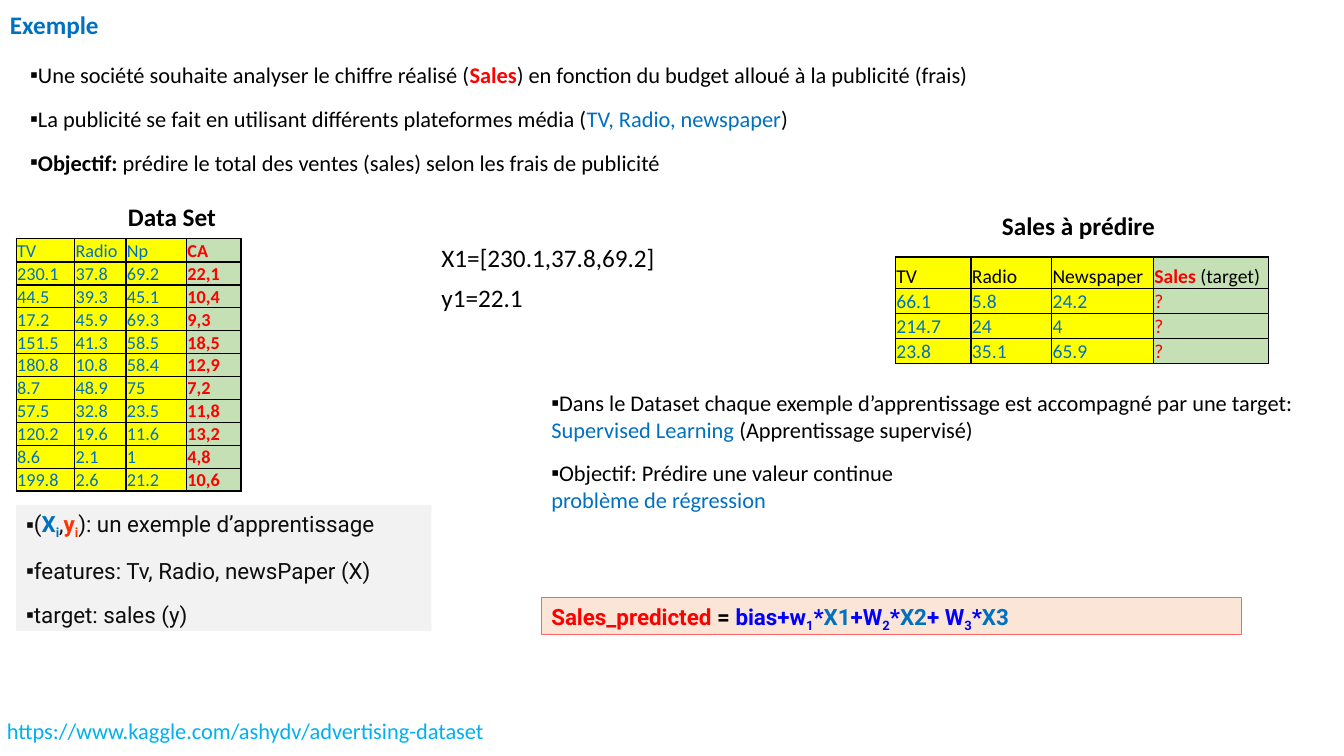
from dataclasses import dataclass

from lxml import etree
from pptx import Presentation
from pptx.dml.color import RGBColor
from pptx.enum.shapes import MSO_SHAPE
from pptx.enum.text import MSO_ANCHOR, MSO_AUTO_SIZE, PP_ALIGN
from pptx.oxml.ns import qn
from pptx.util import Emu, Pt

RECTANGLE = MSO_SHAPE.RECTANGLE
GROW = MSO_AUTO_SIZE.SHAPE_TO_FIT_TEXT
TOP, BOTTOM = MSO_ANCHOR.TOP, MSO_ANCHOR.BOTTOM
LEFT, CENTER, JUSTIFY = PP_ALIGN.LEFT, PP_ALIGN.CENTER, PP_ALIGN.JUSTIFY
EMU_PER_PX = 9144  # 100 px to the inch


@dataclass(frozen=True)
class Theme:
    font: str = "Calibri"
    alt_font: str = "Roboto"
    heading: int = 18
    body: int = 16
    sales_cell: int = 14
    data_cell: int = 13
    black: str = "000000"
    ink: str = "0D0D0D"
    blue: str = "0070C0"
    pure_blue: str = "0000FF"
    sky: str = "00B0F0"
    red: str = "FF0000"
    orange: str = "FF3300"
    yellow: str = "FFFF00"
    green: str = "C5E0B4"
    grey: str = "F2F2F2"
    peach: str = "FBE5D6"
    coral: str = "FF6565"


THEME = Theme()


@dataclass(frozen=True)
class Span:
    text: str
    color: str = THEME.black
    bold: bool = False
    sub: bool = False
    new_line: bool = False


def px(length):
    return Emu(round(length * EMU_PER_PX))


def rgb(color):
    return RGBColor.from_string(color)


class Page:
    def __init__(self, deck, theme):
        self.theme = theme
        self.shapes = deck.slides.add_slide(deck.slide_layouts[6]).shapes

    def add_spans(self, para, spans, size, font):
        for span in spans:
            if span.new_line:
                para.add_line_break()
            run = para.add_run()
            run.text = span.text
            run.font.name, run.font.size = font, Pt(size)
            run.font.bold = span.bold
            run.font.color.rgb = rgb(span.color)
            if span.sub:
                run.font._element.set("baseline", "-25000")

    def bullet(self, para, hang):
        """Square bullet hanging before a zero left margin."""
        properties = para._p.get_or_add_pPr()
        properties.set("marL", "0")
        properties.set("indent", str(-px(hang)))
        etree.SubElement(properties, qn("a:buFont")).set("typeface", "Arial")
        etree.SubElement(properties, qn("a:buChar")).set("char", "▪")

    def fill_frame(self, box, paragraphs, size, font, align=LEFT, hang=0, after=0, level=0):
        frame = box.text_frame
        frame.word_wrap, frame.auto_size = True, GROW
        frame.vertical_anchor = TOP
        for index, spans in enumerate(paragraphs):
            para = frame.add_paragraph() if index else frame.paragraphs[0]
            para.alignment, para.level = align, level
            para.space_after = Pt(after)
            if hang:
                self.bullet(para, hang)
            self.add_spans(para, spans, size, font)

    def text(self, area, paragraphs, size, **layout):
        box = self.shapes.add_textbox(*map(px, area))
        self.fill_frame(box, paragraphs, size, self.theme.font, **layout)

    def panel(self, area, fill, paragraphs, line=None, **layout):
        box = self.shapes.add_shape(RECTANGLE, *map(px, area))
        box.shadow.inherit = False
        box.fill.solid()
        box.fill.fore_color.rgb = rgb(fill)
        if line:
            box.line.color.rgb = rgb(line)
            box.line.width = Pt(0.75)
        else:
            box.line.fill.background()
        self.fill_frame(box, paragraphs, self.theme.body, self.theme.alt_font, **layout)

    def border(self, cell):
        properties = cell._tc.get_or_add_tcPr()
        for position, side in enumerate(("a:lnL", "a:lnR", "a:lnT", "a:lnB")):
            line = etree.Element(qn(side), w=str(Pt(1)))
            solid = etree.SubElement(line, qn("a:solidFill"))
            etree.SubElement(solid, qn("a:srgbClr")).set("val", self.theme.black)
            properties.insert(position, line)

    def table(self, area, widths, header_height, rows, size):
        """Grid of span lists whose last column, the target, is green."""
        grid = self.shapes.add_table(len(rows), len(widths), *map(px, area)).table
        grid.first_row = grid.horz_banding = False
        for column, width in zip(grid.columns, widths):
            column.width = px(width)
        grid.rows[0].height = px(header_height)
        for row in list(grid.rows)[1:]:
            row.height = px((area[3] - header_height) / (len(rows) - 1))
        for r, row in enumerate(rows):
            for c, spans in enumerate(row):
                cell = grid.cell(r, c)
                cell.margin_left = cell.margin_right = cell.margin_top = px(1)
                cell.margin_bottom = 0
                cell.vertical_anchor = BOTTOM
                cell.fill.solid()
                is_target = c == len(widths) - 1
                cell.fill.fore_color.rgb = rgb(self.theme.green if is_target else self.theme.yellow)
                self.border(cell)
                self.add_spans(cell.text_frame.paragraphs[0], spans, size, self.theme.font)


def data_row(line, color, target_bold):
    """Split a line of values into spans, the last one in red."""
    *features, target = line.split()
    return [[Span(value, color)] for value in features] + [[Span(target, THEME.red, target_bold)]]


DATA_SET = """TV Radio Np CA
230.1 37.8 69.2 22,1
44.5 39.3 45.1 10,4
17.2 45.9 69.3 9,3
151.5 41.3 58.5 18,5
180.8 10.8 58.4 12,9
8.7 48.9 75 7,2
57.5 32.8 23.5 11,8
120.2 19.6 11.6 13,2
8.6 2.1 1 4,8
199.8 2.6 21.2 10,6"""
TO_PREDICT = ["66.1 5.8 24.2 ?", "214.7 24 4 ?", "23.8 35.1 65.9 ?"]


def main():
    t = THEME
    deck = Presentation()
    deck.slide_width, deck.slide_height = px(1333), px(750)
    page = Page(deck, t)

    sales_header = data_row("TV Radio Newspaper Sales", t.black, True)
    sales_header[-1].append(Span(" (target)"))
    sales_rows = [sales_header] + [data_row(line, t.blue, False) for line in TO_PREDICT]
    page.table((888, 255, 370, 106), (75, 80, 101, 114), 31, sales_rows, t.sales_cell)

    page.text((20, 56, 1130, 125), [
        [Span("Une société souhaite analyser le chiffre réalisé ("), Span("Sales", t.red, True),
         Span(") en fonction du budget alloué à la publicité (frais)")],
        [Span("La publicité se fait en utilisant différents plateformes média ("),
         Span("TV, Radio, newspaper", t.blue), Span(")")],
        [Span("Objectif:", bold=True),
         Span(" prédire le total des ventes (sales) selon les frais de publicité")],
    ], t.body, hang=20, after=12)

    page.panel((16, 501, 412, 125), t.grey, [
        [Span("(", t.ink), Span("X", t.blue, True), Span("i", t.blue, True, sub=True),
         Span(",", t.ink), Span("y", t.orange, True), Span("i", t.orange, True, sub=True),
         Span("): un exemple d’apprentissage", t.ink)],
        [Span("features: Tv, Radio, newsPaper (X)", t.ink)],
        [Span("target: sales (y)", t.ink)],
    ], align=JUSTIFY, hang=16, after=12, level=1)

    page.text((0, 4, 346, 40), [[Span("Exemple", t.blue, True)]], t.heading)
    page.text((16, 195, 309, 40), [[Span("Data Set", bold=True)]], t.heading, align=CENTER)
    page.text((888, 204, 369, 40), [[Span("Sales à prédire ", bold=True)]], t.heading, align=CENTER)

    page.text((537, 381, 784, 135), [
        [Span("Dans le Dataset chaque exemple d’apprentissage est accompagné par une target: "),
         Span("Supervised Learning", t.blue), Span(" (Apprentissage supervisé)")],
        [Span("Objectif: Prédire une valeur continue"),
         Span("problème de régression", t.blue, new_line=True)],
    ], t.body, hang=20, after=12)

    for top, sample in ((236, "X1=[230.1,37.8,69.2]"), (275, "y1=22.1")):
        page.text((428, top, 330, 40), [[Span(sample)]], t.heading)
    page.text((-3, 707, 669, 37),
              [[Span("https://www.kaggle.com/ashydv/advertising-dataset", t.sky)]], t.body)

    formula = [Span("Sales_predicted ", t.red, True), Span("= ", t.black, True)]
    for index, weight in enumerate(("bias+w", "+W", "+ W"), 1):
        formula += [Span(weight, t.pure_blue, True), Span(str(index), t.pure_blue, True, sub=True),
                    Span("*", t.pure_blue, True), Span(f"X{index}", t.blue, True)]
    page.panel((537, 593, 694, 37), t.peach, [formula], line=t.coral, after=5)

    data_rows = [data_row(line, t.blue, True) for line in DATA_SET.splitlines()]
    page.table((16, 237, 223, 250), (58, 51, 60, 54), 23, data_rows, t.data_cell)

    deck.save("out.pptx")


if __name__ == "__main__":
    main()
